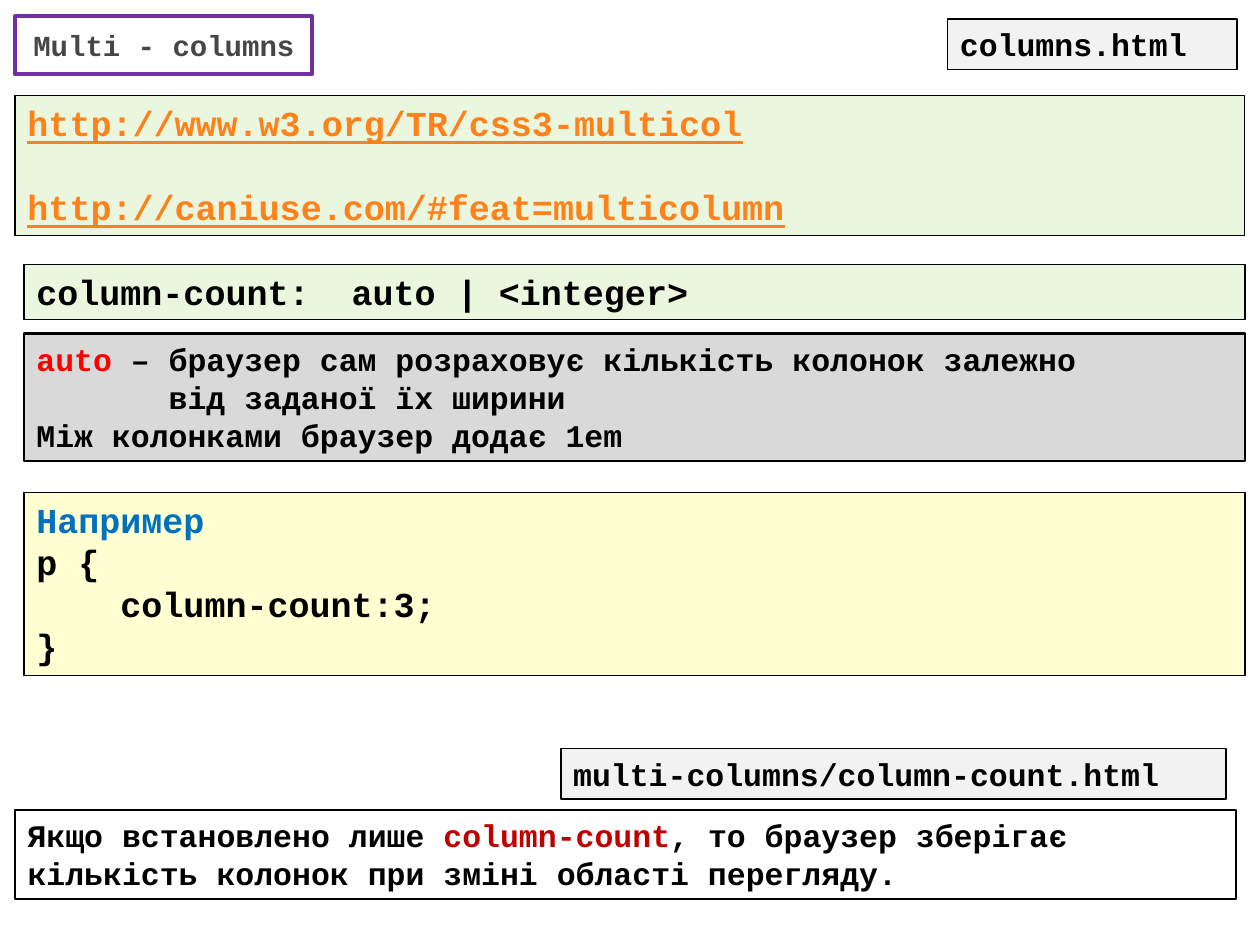
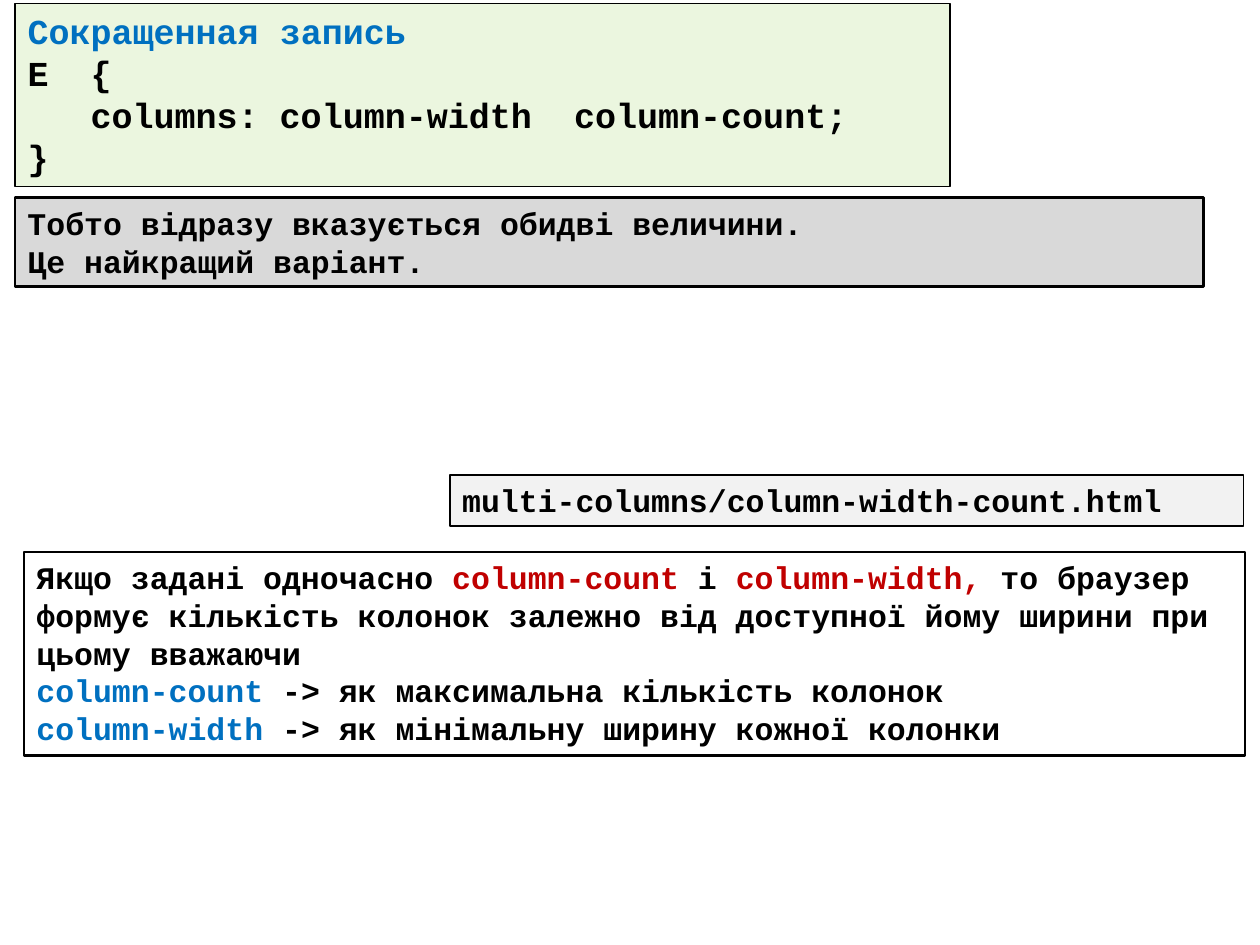
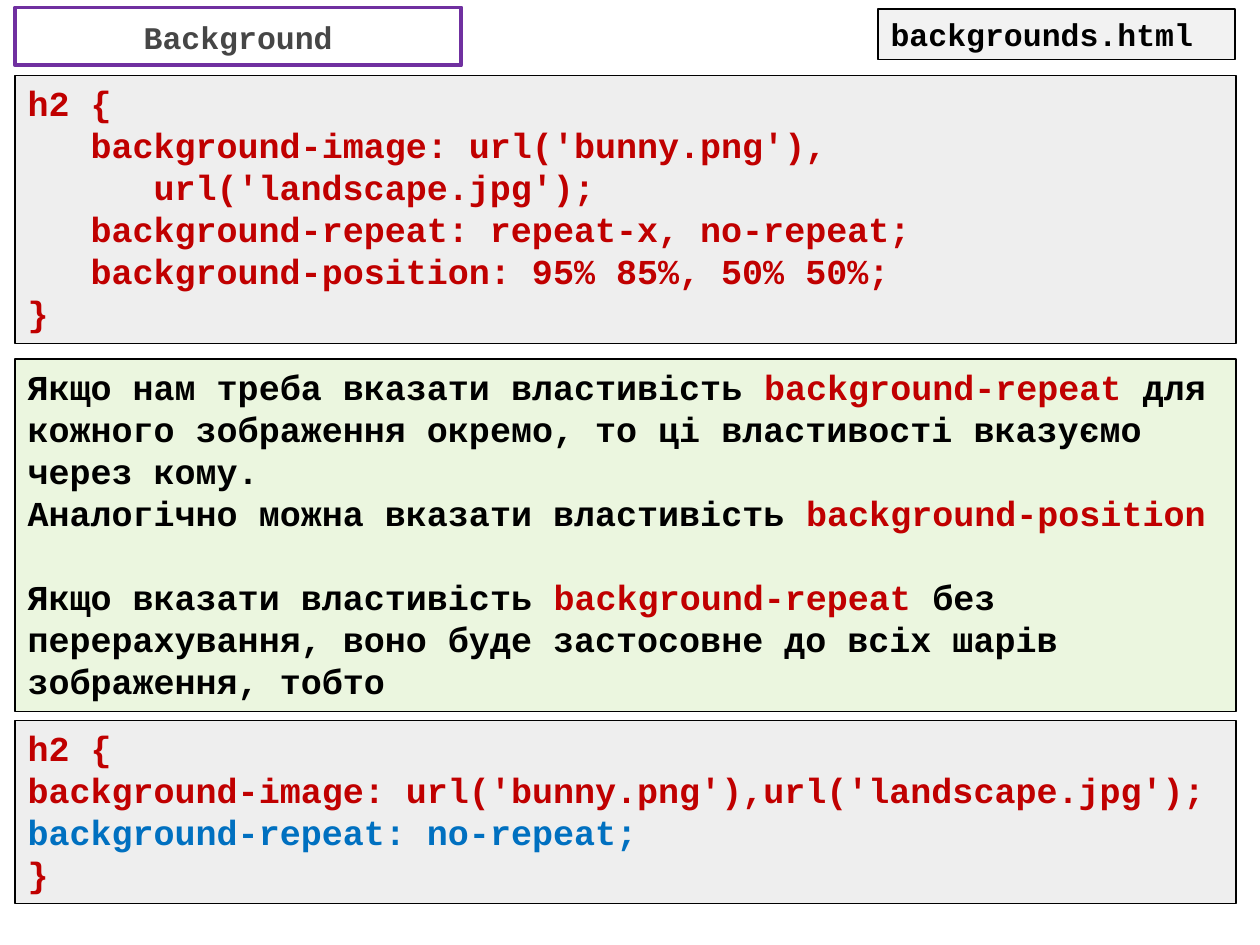
import pptx
import pptx.dml.color
import pptx.enum.shapes
import pptx.enum.text
import pptx.oxml
import pptx.oxml.ns
import pptx.util

COLOURS = {
    "black": "000000", "white": "FFFFFF", "purple": "7030A0", "title": "464646",
    "link": "FF8119", "blue": "0070C0", "red": "FF0000", "crimson": "C00000",
    "green": "92D050", "yellow": "FFFF00", "grey": "A6A6A6",
    "silver": "D9D9D9", "pale": "F2F2F2",
}
FONT = "Courier New"
TINT = 18  # percent of opacity

# fill, opacity, line colour, line width, text size
STYLES = {
    "title": (None, 100, "purple", 2.25, 18),
    "syntax": ("green", TINT, "black", 0.75, 20),
    "example": ("yellow", TINT, "black", 0.75, 20),
    "code": ("grey", TINT, "black", 0.75, 20),
    "remark": ("silver", 100, "black", 1.5, 18),
    "note": ("white", 100, "black", 1.5, 18),
    "file": ("pale", 100, "black", 1, 18),
}
# Heights as percent of the slide's height
ROW = {20: 4.5, 18: 4.04}
TITLE_HEIGHT = 6.13
PADDING = 1.33
# Left edges and the full width as percent of the slide's width
OUTER, INNER, FULL = 1.2, 1.9, 96.9

deck = pptx.Presentation()
deck.slide_width = pptx.util.Inches(10)
deck.slide_height = pptx.util.Inches(7.5)


def rgb(name):
    return pptx.dml.color.RGBColor.from_string(COLOURS[name])


def add_panel(page, style, left, top, width, rows, paragraphs, size=None, gaps=(), indents=None):
    """Add a framed box; gaps lists paragraphs after an empty row, indents maps them to inches."""
    fill, opacity, line, weight, style_size = STYLES[style]
    size = size or style_size
    height = TITLE_HEIGHT if style == "title" else rows * ROW[style_size] + PADDING
    box = page.shapes.add_shape(
        pptx.enum.shapes.MSO_SHAPE.RECTANGLE,
        int(deck.slide_width * left / 100), int(deck.slide_height * top / 100),
        int(deck.slide_width * width / 100), int(deck.slide_height * height / 100))
    box.shadow.inherit = False
    box.line.color.rgb = rgb(line)
    box.line.width = pptx.util.Pt(weight)
    if fill:
        box.fill.solid()
        box.fill.fore_color.rgb = rgb(fill)
        if opacity < 100:
            colour = box.fill._xPr.find(".//" + pptx.oxml.ns.qn("a:srgbClr"))
            colour.append(pptx.oxml.parse_xml(
                f'<a:alpha {pptx.oxml.ns.nsdecls("a")} val="{opacity * 1000}"/>'))
    else:
        box.fill.background()

    frame = box.text_frame
    frame.word_wrap = True
    centred = style == "title"
    anchors, aligns = pptx.enum.text.MSO_ANCHOR, pptx.enum.text.PP_ALIGN
    frame.vertical_anchor = anchors.MIDDLE if centred else anchors.TOP
    for index, spans in enumerate(paragraphs):
        para = frame.add_paragraph() if index else frame.paragraphs[0]
        para.alignment = aligns.CENTER if centred else aligns.LEFT
        if index in gaps:
            para.space_before = pptx.util.Pt(size * 1.2)
        if indents and index in indents:
            para._p.get_or_add_pPr().set("marL", str(pptx.util.Inches(indents[index])))
        for text, colour in spans:
            span = para.add_run()
            span.text = text
            span.font.name = FONT
            span.font.size = pptx.util.Pt(size)
            span.font.bold = True
            span.font.underline = colour == "link"
            span.font.color.rgb = rgb(colour)


blank = deck.slide_layouts[6]

# Multi-columns
page = deck.slides.add_slide(blank)
add_panel(page, "title", OUTER, 1.73, 23.6, 1, [[("Multi - columns", "title")]], size=16.6)
add_panel(page, "syntax", OUTER, 10.13, 97.6, 3, [
    [("http://www.w3.org/TR/css3-multicol", "link")],
    [("http://caniuse.com/#feat=multicolumn", "link")],
], gaps=[1])
add_panel(page, "syntax", INNER, 28, FULL, 1, [[("column-count:  auto | <integer>", "black")]])
add_panel(page, "example", INNER, 52.13, FULL, 4, [
    [("Например", "blue")],
    [("p {", "black")],
    [("    column-count:3;", "black")],
    [("}", "black")],
])
add_panel(page, "remark", INNER, 35.33, FULL, 3, [
    [("auto", "red"), (" – браузер сам розраховує кількість колонок залежно", "black")],
    [("від заданої їх ширини", "black")],
    [("Між колонками браузер додає 1em", "black")],
], indents={1: 1.05})
add_panel(page, "file", 75.2, 2, 23, 1, [[("columns.html", "black")]])
add_panel(page, "note", OUTER, 85.73, FULL, 2, [[
    ("Якщо встановлено лише ", "black"),
    ("column-count", "crimson"),
    (", то браузер зберігає кількість колонок при зміні області перегляду.", "black"),
]])
add_panel(page, "file", 44.5, 79.2, 52.8, 1, [[("multi-columns/column-count.html", "black")]])

# Shorthand
page = deck.slides.add_slide(blank)
add_panel(page, "syntax", OUTER, 0.4, 74.2, 4, [
    [("Сокращенная запись", "blue")],
    [("E  {", "black")],
    [("\tcolumns: column-width  column-count;", "black")],
    [("}", "black")],
])
add_panel(page, "remark", OUTER, 20.93, 94.3, 2, [
    [("Тобто відразу вказується обидві величини.", "black")],
    [("Це найкращий варіант.", "black")],
])
add_panel(page, "note", INNER, 58.4, FULL, 5, [
    [
        ("Якщо задані одночасно ", "black"),
        ("column-count ", "crimson"),
        ("і ", "black"),
        ("column-width, ", "crimson"),
        ("то браузер формує кількість колонок залежно від доступної йому ширини "
         "при цьому вважаючи", "black"),
    ],
    [("column-count", "blue"), (" -> як максимальна кількість колонок", "black")],
    [("column-width", "blue"), (" -> як мінімальну ширину кожної колонки", "black")],
])
add_panel(page, "file", 35.7, 50.27, 63, 1, [[("multi-columns/column-width-count.html", "black")]])

# Background
page = deck.slides.add_slide(blank)
add_panel(page, "file", 69.7, 0.93, 28.3, 1, [[("backgrounds.html", "black")]])
add_panel(page, "title", OUTER, 0.8, 35.4, 1, [[("Background", "title")]])
add_panel(page, "code", OUTER, 8, FULL, 6, [
    [("h2 {", "crimson")],
    [("\tbackground-image: url('bunny.png'),", "crimson")],
    [("\t\turl('landscape.jpg');", "crimson")],
    [("\tbackground-repeat: repeat-x, no-repeat;", "crimson")],
    [("\tbackground-position: 95% 85%, 50% 50%;", "crimson")],
    [("}", "crimson")],
])
add_panel(page, "syntax", OUTER, 38, FULL, 8, [
    [
        ("Якщо нам треба вказати властивість ", "black"),
        ("background-repeat", "crimson"),
        (" для кожного зображення окремо, то ці властивості вказуємо через кому.", "black"),
    ],
    [("Аналогічно можна вказати властивість ", "black"), ("background-position", "crimson")],
    [
        ("Якщо вказати властивість ", "black"),
        ("background-repeat", "crimson"),
        (" без перерахування, воно буде застосовне до всіх шарів зображення, тобто", "black"),
    ],
], gaps=[2])
add_panel(page, "code", OUTER, 76.27, FULL, 4, [
    [("h2 {", "crimson")],
    [("background-image: url('bunny.png'),url('landscape.jpg');", "crimson")],
    [("background-repeat: no-repeat;", "blue")],
    [("}", "crimson")],
])

deck.save("out.pptx")
